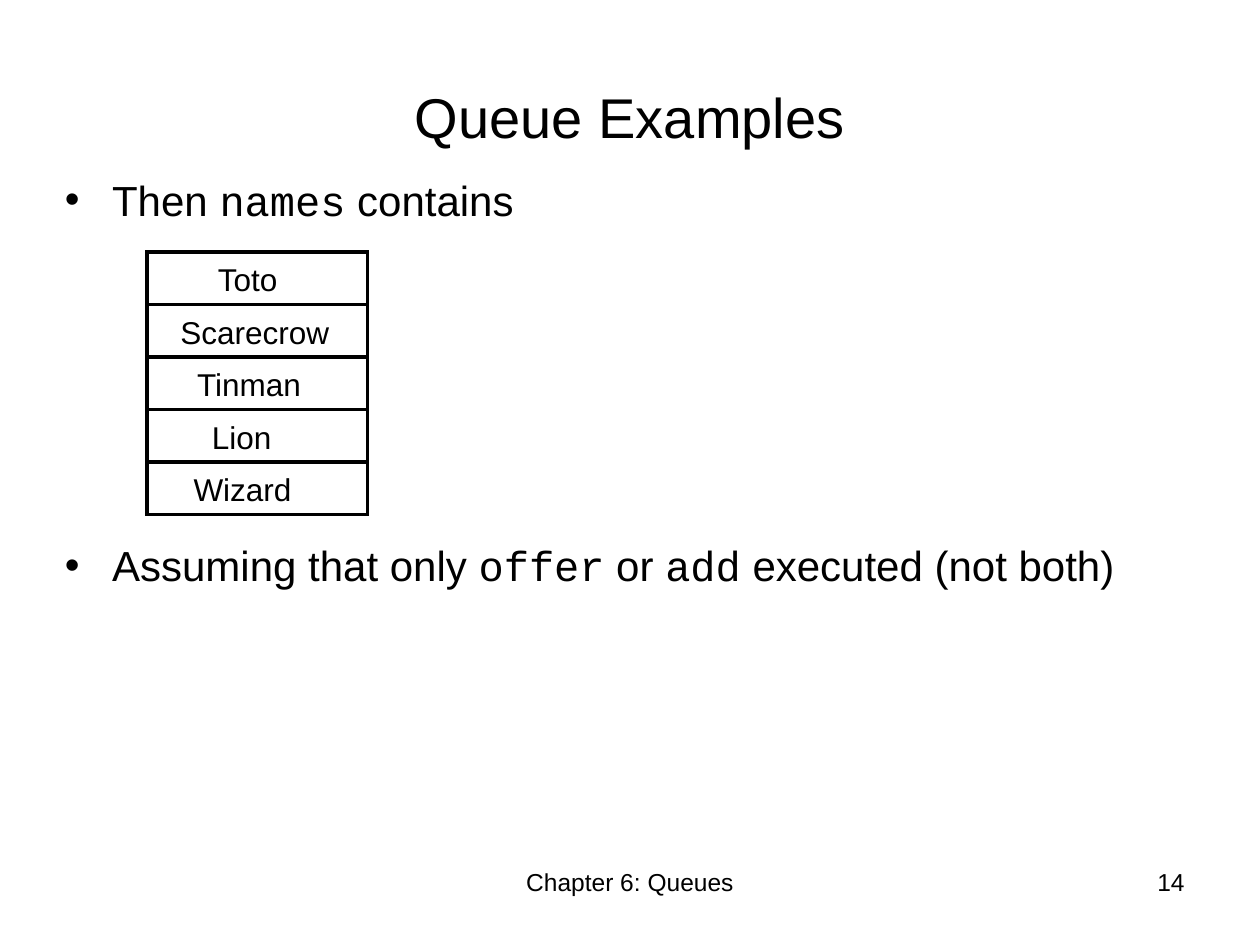
from lxml import etree
from pptx import Presentation
from pptx.dml.color import RGBColor
from pptx.enum.shapes import MSO_SHAPE
from pptx.enum.text import MSO_ANCHOR, PP_ALIGN
from pptx.oxml.ns import qn
from pptx.util import Pt

RECTANGLE = MSO_SHAPE.RECTANGLE
TOP, MIDDLE = MSO_ANCHOR.TOP, MSO_ANCHOR.MIDDLE
LEFT, CENTER, RIGHT = PP_ALIGN.LEFT, PP_ALIGN.CENTER, PP_ALIGN.RIGHT
COLORS = {"ink": "000000", "background": "FFFFFF"}
BODY_FONT, CODE_FONT = "Arial", "Courier New"
INK = RGBColor.from_string(COLORS["ink"])

presentation = Presentation()
presentation.slide_width, presentation.slide_height = Pt(720), Pt(540)
slide = presentation.slides.add_slide(presentation.slide_layouts[6])
slide.background.fill.solid()
slide.background.fill.fore_color.rgb = RGBColor.from_string(COLORS["background"])


def add_text(paragraphs, left, top, width, height, size, align=LEFT,
             anchor=TOP, wrap=True, bullet_indent=0, gap=0):
    """Add a text box; in each paragraph, every second run between | is code."""
    frame = slide.shapes.add_textbox(Pt(left), Pt(top), Pt(width), Pt(height)).text_frame
    frame.word_wrap = wrap
    frame.vertical_anchor = anchor
    for index, text in enumerate(paragraphs):
        paragraph = frame.add_paragraph() if index else frame.paragraphs[0]
        paragraph.alignment = align
        if index:
            paragraph.space_before = Pt(gap)
        if bullet_indent:
            properties = paragraph._p.get_or_add_pPr()
            properties.set("marL", str(Pt(bullet_indent)))
            properties.set("indent", str(-Pt(bullet_indent)))
            etree.SubElement(properties, qn("a:buFont"), typeface=BODY_FONT)
            etree.SubElement(properties, qn("a:buChar"), char="•")
        for position, part in enumerate(text.split("|")):
            run = paragraph.add_run()
            run.text = part
            run.font.name = CODE_FONT if position % 2 else BODY_FONT
            run.font.size = Pt(size)
            run.font.color.rgb = INK


add_text(["Chapter 6: Queues"], 246, 492, 228, 37.5, size=14, align=CENTER)
add_text(["14"], 516, 492, 168, 37.5, size=14, align=RIGHT)
add_text(["Queue Examples"], 36, 21.6, 648, 90, size=32, align=CENTER, anchor=MIDDLE)
add_text(["Then |names| contains",
          "Assuming that only |offer| or |add| executed (not both)"],
         30, 96, 648, 356, size=24, bullet_indent=27, gap=180)

# Queue cells from front to back: name, label left, label width
QUEUE = [("Toto", 117.5, 52), ("Scarecrow", 96, 102), ("Tinman", 105.5, 76),
         ("Lion", 114, 52), ("Wizard", 103.5, 73)]
CELL_LEFT, QUEUE_TOP, CELL_WIDTH, CELL_HEIGHT = 84, 144, 126, 30

for index, (name, label_left, label_width) in enumerate(QUEUE):
    top = QUEUE_TOP + index * CELL_HEIGHT
    cell = slide.shapes.add_shape(RECTANGLE, Pt(CELL_LEFT), Pt(top),
                                  Pt(CELL_WIDTH), Pt(CELL_HEIGHT))
    cell.shadow.inherit = False
    cell.fill.background()
    cell.line.color.rgb = INK
    cell.line.width = Pt(2)
    # Square outline corners
    etree.SubElement(cell._element.spPr.find(qn("a:ln")), qn("a:miter"), lim="800000")
    add_text([name], label_left, top + 1.25, label_width, 29, size=18, wrap=False)

presentation.save("out.pptx")
